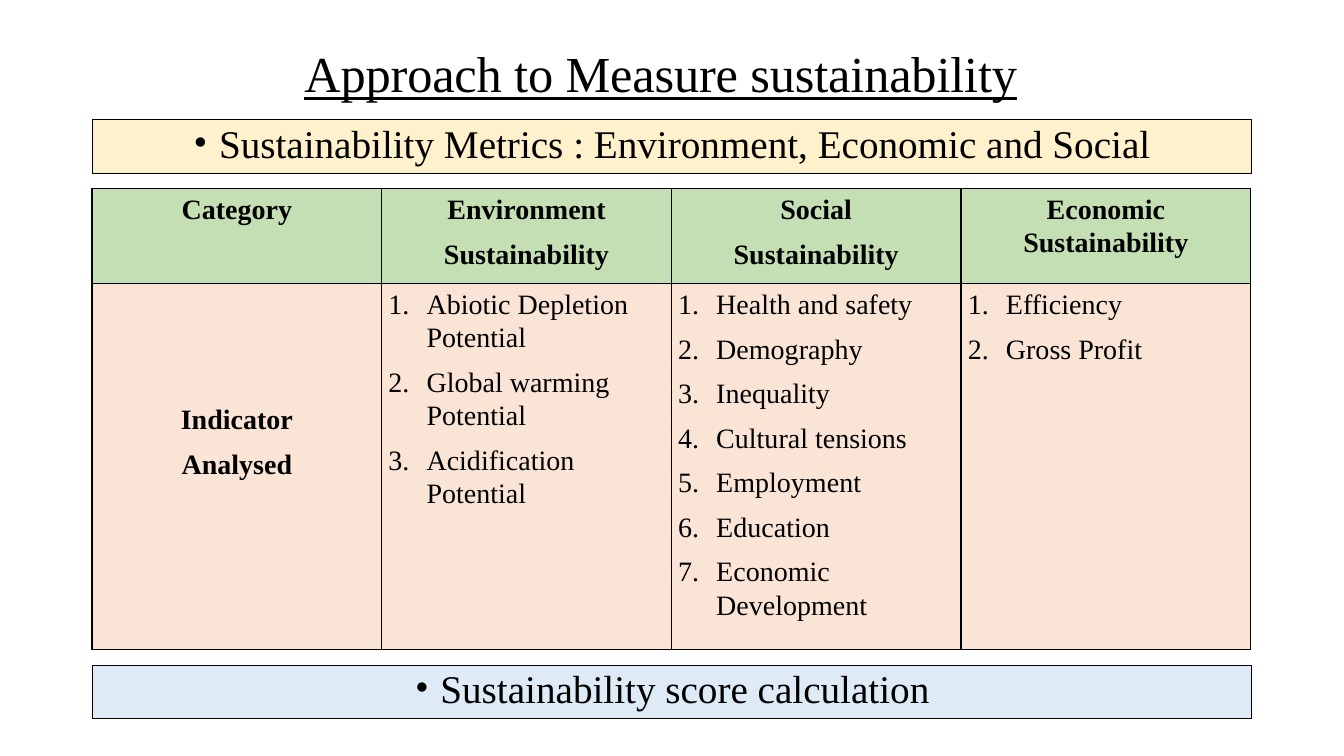
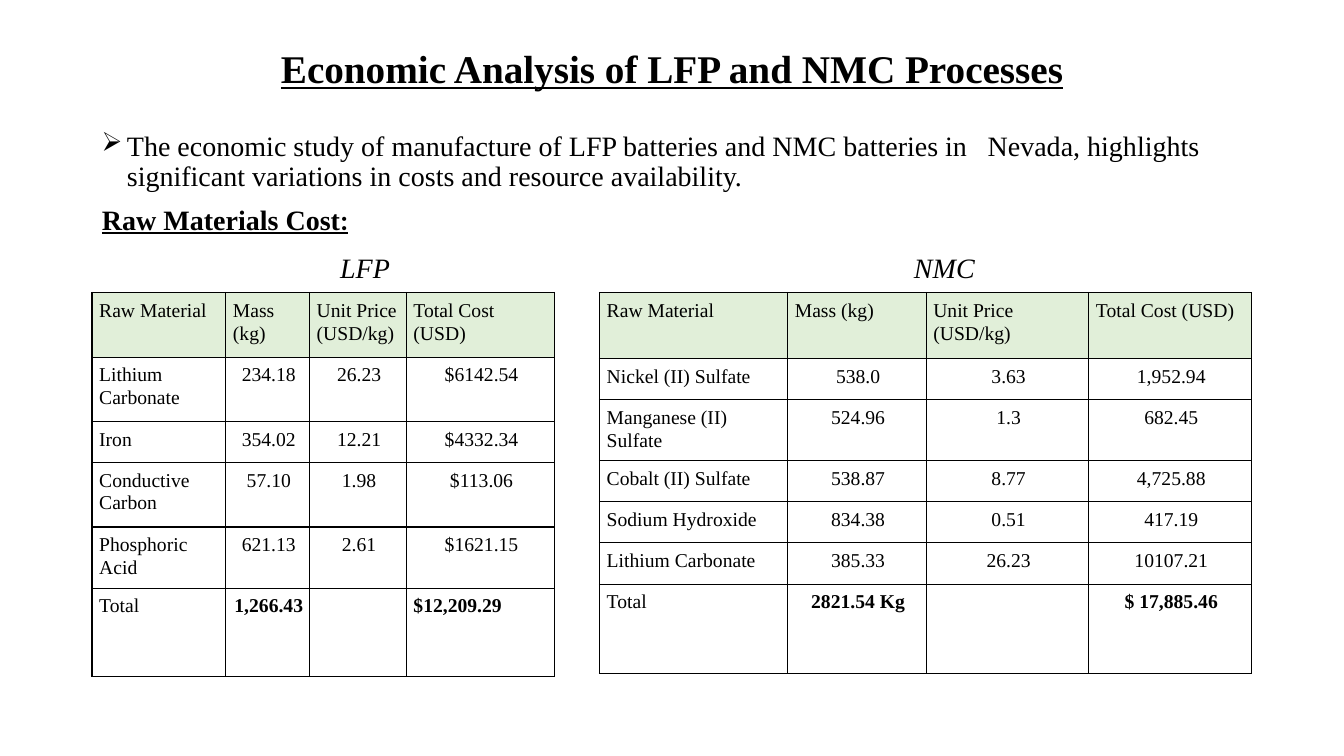
from lxml import etree
from pptx import Presentation
from pptx import util as u
from pptx.dml.color import RGBColor
from pptx.enum import shapes, text
from pptx.oxml.ns import qn

INK = {
    "text": "000000", "line": "000000", "gold": "FFF1CC", "blue": "DEEBF7",
    "green": "C5DFB4", "peach": "FAE4D5", "mint": "E1EFD9", "white": "FFFFFF",
}
FACE = "Times New Roman"
MID = text.PP_ALIGN.CENTER
LEFT = text.PP_ALIGN.LEFT
EDGE = 2.32


def color(name):
    return RGBColor.from_string(INK[name])


def child(node, tag, **attrs):
    return etree.SubElement(node, qn(tag), attrs)


def write(frame, words, size=20, face=FACE, bold=False, italic=False, under=False,
          track=0, align=LEFT, before=0, gap=None, left=0, hang=0, mark=None,
          sign=FACE, scale=100, stop=None, join=False):
    para = frame.paragraphs[-1]
    if para.runs and not join:
        para = frame.add_paragraph()
    if not join:
        para.alignment = align
        para.space_before = u.Pt(before)
        if gap:
            para.line_spacing = gap
        prop = para._p.get_or_add_pPr()
        prop.set("marL", str(u.Cm(left)))
        prop.set("indent", str(u.Cm(-hang)))
        if mark == "1.":
            child(prop, "a:buAutoNum", type="arabicPeriod")
        elif mark:
            child(prop, "a:buSzPct", val=str(scale * 1000))
            child(prop, "a:buFont", typeface=sign)
            child(prop, "a:buChar", char=mark)
        else:
            child(prop, "a:buNone")
        if stop:
            tabs = child(prop, "a:tabLst")
            child(tabs, "a:tab", pos=str(u.Cm(stop)), algn="l")
    run = para.add_run()
    run.text = words
    font = run.font
    font.name, font.size = face, u.Pt(size)
    font.bold, font.italic, font.underline = bold, italic, under
    font.color.rgb = color("text")
    if track:
        run._r.get_or_add_rPr().set("spc", str(int(track * 100)))


def clear(frame, top=0):
    frame.word_wrap = True
    frame.vertical_anchor = text.MSO_ANCHOR.TOP
    frame.margin_left = frame.margin_right = frame.margin_bottom = 0
    frame.margin_top = u.Cm(top)


def label(slide, left, top, width, height):
    box = slide.shapes.add_textbox(u.Cm(left), u.Cm(top), u.Cm(width), u.Cm(height))
    clear(box.text_frame)
    return box.text_frame


def title(slide, words, left, top, width, **form):
    write(label(slide, left, top, width, 1.6), words, under=True, align=MID, **form)


def bar(slide, top, words, fill, left):
    box = slide.shapes.add_shape(shapes.MSO_SHAPE.RECTANGLE, u.Cm(EDGE + 0.02),
                                 u.Cm(top), u.Cm(29.21), u.Cm(1.35))
    box.shadow.inherit = False
    box.fill.solid()
    box.fill.fore_color.rgb = color(fill)
    box.line.color.rgb = color("line")
    box.line.width = u.Pt(0.75)
    clear(box.text_frame)
    write(box.text_frame, words, size=28, gap=u.Pt(33), left=left, hang=0.64, mark="•")


def border(cell):
    prop = cell._tc.get_or_add_tcPr()
    for side in ("a:lnL", "a:lnR", "a:lnT", "a:lnB"):
        line = child(prop, side, w=str(u.Pt(1)))
        child(child(line, "a:solidFill"), "a:srgbClr", val=INK["line"])


def grid(slide, left, top, cols, rows, head, body):
    table = slide.shapes.add_table(len(rows), len(cols), u.Cm(left), u.Cm(top),
                                   u.Cm(sum(cols)), u.Cm(sum(rows))).table
    table.first_row = table.horz_banding = False
    for col, width in zip(table.columns, cols):
        col.width = u.Cm(width)
    for num, (row, height) in enumerate(zip(table.rows, rows)):
        row.height = u.Cm(height)
        for cell in row.cells:
            border(cell)
            cell.fill.solid()
            cell.fill.fore_color.rgb = color(body if num else head)
    return table


def fill(cell, lines, top=0.15, side=(0, 0), **form):
    cell.margin_left, cell.margin_right = map(u.Cm, side)
    cell.margin_top, cell.margin_bottom = u.Cm(top), 0
    for num, words in enumerate(lines):
        write(cell.text_frame, words, **{**form, "before": form.get("before", 0) if num else 0})


def costs(slide, left, cols, rows, data, sums):
    table = grid(slide, left, 7.37, cols, rows, "mint", "white")
    last = len(data) - 1
    for i, row in enumerate(data):
        for j, words in enumerate(row):
            if words:
                align = LEFT if i == 0 or j == 0 else MID
                if i == last and j == 3:
                    align = sums
                fill(table.cell(i, j), [words], side=(0.18, 0.12), size=14,
                     gap=u.Pt(16.4), align=align, bold=i == last and j > 0)


def metrics(slide):
    title(slide, "Approach to Measure sustainability", 7.57, 1.07, 18.16, size=36, track=-0.1)
    bar(slide, 3.02, "Sustainability Metrics : Environment, Economic and Social", "gold", 3.18)
    table = grid(slide, EDGE, 4.75, [7.3] * 4, [2.39, 9.22], "green", "peach")
    heads = [("Category",), ("Environment", "Sustainability"),
             ("Social", "Sustainability"), ("Economic", "Sustainability")]
    for j, lines in enumerate(heads):
        fill(table.cell(0, j), lines, bold=True, align=MID, before=1.6 if j == 3 else 9.6)
    fill(table.cell(1, 0), ["Indicator", "Analysed"], top=3.05, bold=True, align=MID, before=9.8)
    lists = [
        ["Abiotic Depletion Potential", "Global warming Potential", "Acidification Potential"],
        ["Health and safety", "Demography", "Inequality", "Cultural tensions",
         "Employment", "Education", "Economic Development"],
        ["Efficiency", "Gross Profit"],
    ]
    for j, lines in enumerate(lists, 1):
        fill(table.cell(1, j), lines, top=0.1, gap=1.07, before=8.1,
             left=1.13, hang=0.96, mark="1.")
    bar(slide, 16.76, "Sustainability score calculation", "blue", 8.76)


def money(slide):
    title(slide, "Economic Analysis of LFP and NMC Processes", 1.4, 1.12, 31.07,
          size=28, bold=True)
    frame = label(slide, 2.54, 3.33, 27.8, 2.8)
    write(frame, "The economic study of manufacture of LFP batteries and NMC batteries in"
          "\tNevada, highlights significant variations in costs and resource availability.",
          gap=u.Pt(21.6), left=0.66, hang=0.64, mark="Ø", sign="Wingdings",
          scale=95, stop=22.35)
    write(frame, "Raw Materials Cost", bold=True, under=True, before=6.8, left=0.03)
    write(frame, ":", face="Calibri", bold=True, under=True, join=True)
    for words, left in (("LFP", 6.7), ("NMC", 21.3)):
        write(label(slide, left, 6.31, 5, 0.8), words, italic=True, align=MID)
    head = ("Raw Material", "Mass (kg)", "Unit Price (USD/kg)", "Total Cost (USD)")
    costs(slide, EDGE, [3.37, 2.11, 2.44, 3.73], [1.63, 1.63, 1.02, 1.63, 1.54, 2.22], [
        head,
        ("Lithium Carbonate", "234.18", "26.23", "$6142.54"),
        ("Iron", "354.02", "12.21", "$4332.34"),
        ("Conductive Carbon", "57.10", "1.98", "$113.06"),
        ("Phosphoric Acid", "621.13", "2.61", "$1621.15"),
        ("Total", "1,266.43", "", "$12,209.29"),
    ], LEFT)
    costs(slide, 15.11, [4.74, 3.49, 4.1, 4.1], [1.66, 1.04, 1.53, 1.04, 1.04, 1.04, 2.26], [
        head,
        ("Nickel (II) Sulfate", "538.0", "3.63", "1,952.94"),
        ("Manganese (II) Sulfate", "524.96", "1.3", "682.45"),
        ("Cobalt (II) Sulfate", "538.87", "8.77", "4,725.88"),
        ("Sodium Hydroxide", "834.38", "0.51", "417.19"),
        ("Lithium Carbonate", "385.33", "26.23", "10107.21"),
        ("Total", "2821.54 Kg", "", "$ 17,885.46"),
    ], MID)


def main():
    deck = Presentation()
    deck.slide_width, deck.slide_height = u.Cm(33.87), u.Cm(19.05)
    for draw in (metrics, money):
        draw(deck.slides.add_slide(deck.slide_layouts[6]))
    deck.save("out.pptx")


if __name__ == "__main__":
    main()
